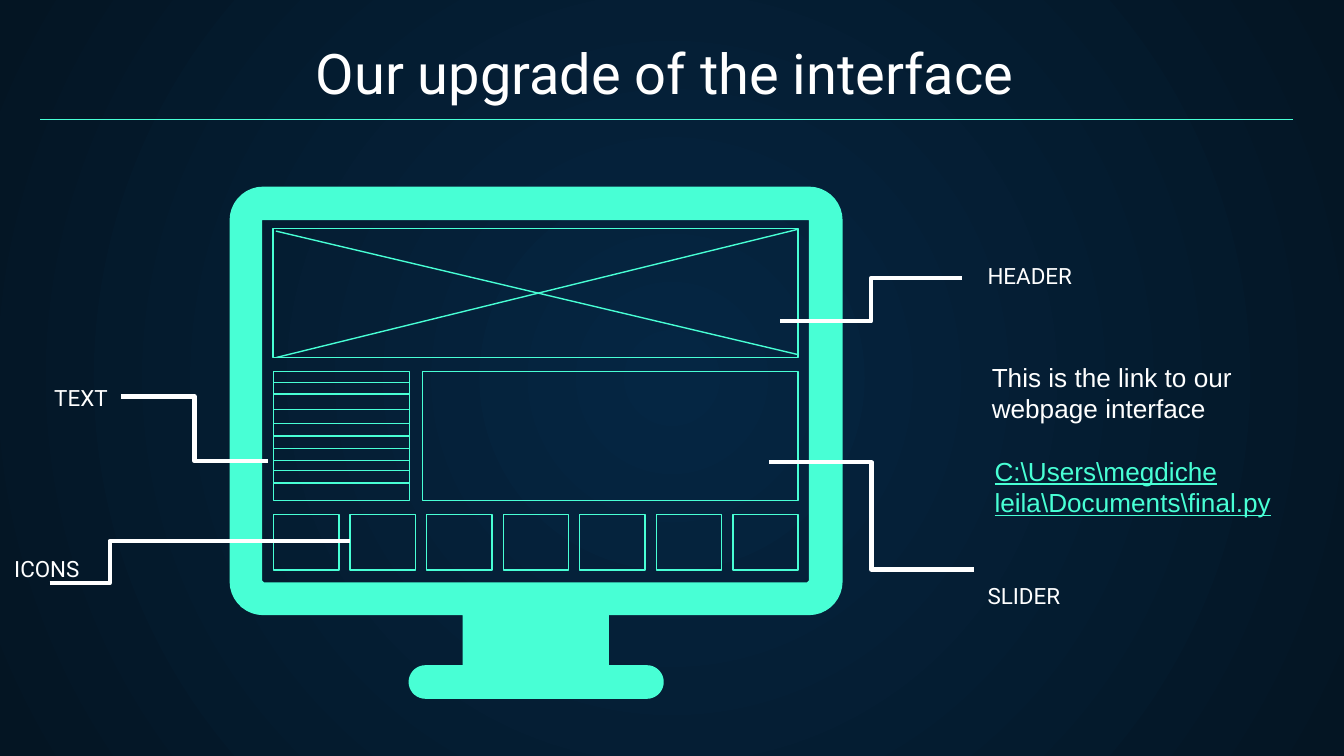
from math import cos, radians, sin

from lxml import etree
from pptx import Presentation
from pptx.dml.color import RGBColor
from pptx.enum.shapes import MSO_CONNECTOR, MSO_SHAPE
from pptx.enum.text import MSO_ANCHOR, PP_ALIGN
from pptx.oxml.ns import qn
from pptx.util import Pt

STRAIGHT, ELBOW = MSO_CONNECTOR.STRAIGHT, MSO_CONNECTOR.ELBOW
LEFT, CENTER, RIGHT = PP_ALIGN.LEFT, PP_ALIGN.CENTER, PP_ALIGN.RIGHT
COLORS = {"mint": "48FFD5", "white": "FFFFFF", "glow": "052643", "night": "041523"}
COLORS = {name: RGBColor.from_string(value) for name, value in COLORS.items()}

deck = Presentation()
deck.slide_width, deck.slide_height = Pt(720), Pt(405)
page = deck.slides.add_slide(deck.slide_layouts[5])


def add_line(kind, start, end, color, width):
    line = page.shapes.add_connector(kind, *map(Pt, start + end))
    line.line.color.rgb = COLORS[color]
    line.line.width = Pt(width)
    etree.SubElement(line._element.spPr, qn("a:effectLst"))
    return line


def write(box, text, size, font, color, align=LEFT, anchor=MSO_ANCHOR.TOP, inset=7.2):
    """Fill a text shape with one formatted run and return its paragraph."""
    frame = box.text_frame
    frame.word_wrap = True
    frame.vertical_anchor = anchor
    frame.margin_left = frame.margin_right = Pt(7.2)
    frame.margin_top = frame.margin_bottom = Pt(inset)
    para = frame.paragraphs[0]
    para.alignment = align
    span = para.add_run()
    span.text = text
    span.font.size = Pt(size)
    span.font.name = font
    span.font.color.rgb = COLORS[color]
    return para


# Background: circular glow from the centre
fill = page.background.fill
fill.gradient()
for stop, color in zip(fill.gradient_stops, ("glow", "night")):
    stop.color.rgb = COLORS[color]
for stop, position in zip(fill.gradient_stops, (0, 1)):
    stop.position = position
linear = page.background._cSld.find(".//" + qn("a:lin"))
circle = etree.Element(qn("a:path"), path="circle")
etree.SubElement(circle, qn("a:fillToRect"), l="50000", t="50000", r="50000", b="50000")
linear.getparent().replace(linear, circle)

# Title and its rule
title = page.shapes.title
title.left, title.top, title.width, title.height = Pt(24.5), Pt(16.6), Pt(671), Pt(47.5)
write(title, "Our upgrade of the interface ", 30, "Roboto", "white", CENTER, MSO_ANCHOR.BOTTOM)
add_line(STRAIGHT, (21.6, 64.1), (692.6, 64.1), "mint", 0.75)

# Monitor: rounded case, stand and foot in one outline, with the screen cut out.
# Each corner is centre x, centre y, radius, start angle; radius 0 is a sharp corner.
corners = [
    (141, 118, 18, 180), (433.4, 118, 18, 270), (433.4, 311.6, 18, 0),
    (326.2, 329.6, 0, 0), (326.2, 356.4, 0, 0),
    (346.6, 365.4, 9, 270), (346.6, 365.4, 9, 0),
    (227.9, 365.4, 9, 90), (227.9, 365.4, 9, 180),
    (247.8, 356.4, 0, 0), (247.8, 329.6, 0, 0), (141, 311.6, 18, 90),
]
outline = [
    (Pt(x + radius * cos(radians(start + turn))), Pt(y + radius * sin(radians(start + turn))))
    for x, y, radius, start in corners
    for turn in (range(0, 91, 10) if radius else (0,))
]
screen = [(Pt(x), Pt(y)) for x, y in
          [(140.4, 118), (140.4, 311), (141.4, 312), (432.4, 312), (433.4, 311), (433.4, 118)]]
builder = page.shapes.build_freeform(*outline[0], scale=1.0)
builder.add_line_segments(outline[1:], close=True)
builder.move_to(*screen[0])
builder.add_line_segments(screen[1:], close=True)
monitor = builder.convert_to_shape()
monitor.shadow.inherit = False
monitor.fill.solid()
monitor.fill.fore_color.rgb = COLORS["mint"]
monitor.line.fill.background()

# Wireframe: header, text block, slider, row of icons
frames = [(146.3, 122.4, 281.3, 69.1), (146.6, 199, 72.7, 69.1), (226.3, 199, 201.3, 69.1)]
frames += [(146.6 + 41 * column, 275.7, 35, 29.7) for column in range(7)]
for frame in frames:
    panel = page.shapes.add_shape(MSO_SHAPE.RECTANGLE, *map(Pt, frame))
    panel.shadow.inherit = False
    panel.fill.background()
    panel.line.color.rgb = COLORS["mint"]
    panel.line.width = Pt(0.75)

add_line(STRAIGHT, (147.8, 123.8), (427.6, 190), "mint", 0.75)
add_line(STRAIGHT, (148.2, 191.5), (427.3, 122.9), "mint", 0.75)
for y in (204.9, 211.1, 219.3, 227, 233.5, 240.3, 246.7, 252.2, 258.7):
    add_line(STRAIGHT, (146.6, y), (219.2, y), "mint", 0.75)

# Labels: text, left, top, alignment, line spacing
labels = [
    ("HEADER", 522, 133.2, LEFT, 1),
    ("TEXT", -18.7, 198.7, RIGHT, 1),
    ("SLIDER", 522, 290.2, LEFT, 2),
    ("ICONS", -33.8, 290.2, RIGHT, 1),
]
for text, left, top, align, spacing in labels:
    label = page.shapes.add_textbox(Pt(left), Pt(top), Pt(83.5), Pt(15.1))
    write(label, text, 12, "Roboto", "white", align).line_spacing = spacing

# Callouts: start, end, share of the width at which the line bends
callouts = [
    ((64.8, 212.4), (143.6, 247), 0.5),
    ((26.6, 312.3), (187.7, 289.9), 0.2),
    ((418, 172.2), (515.4, 148.9), 0.5),
    ((412, 247.7), (521.8, 305.1), 0.5),
]
for start, end, bend in callouts:
    callout = add_line(ELBOW, start, end, "white", 2.25)
    guides = callout._element.spPr.find(".//" + qn("a:avLst"))
    etree.SubElement(guides, qn("a:gd"), name="adj1", fmla=f"val {round(bend * 100000)}")

# Link to the interface
intro = page.shapes.add_textbox(Pt(524.2), Pt(190), Pt(171.4), Pt(41))
write(intro, "This is the link to our webpage interface", 14, "Arial", "white", inset=3.6)
link = page.shapes.add_textbox(Pt(525.7), Pt(240.3), Pt(177.1), Pt(41))
address = write(link, "C:\\Users\\megdiche leila\\Documents\\final.py", 14, "Arial", "mint", inset=3.6)
address.runs[0].font.underline = True

deck.save("out.pptx")
